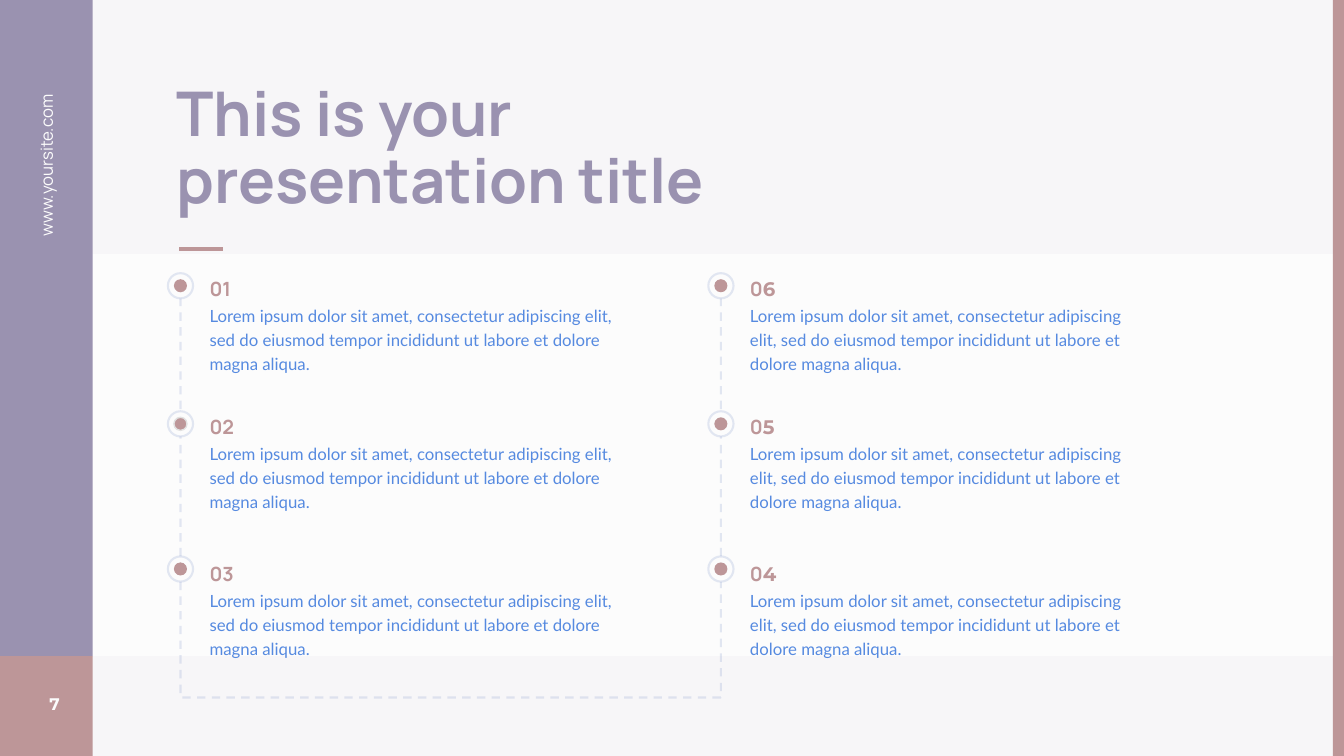
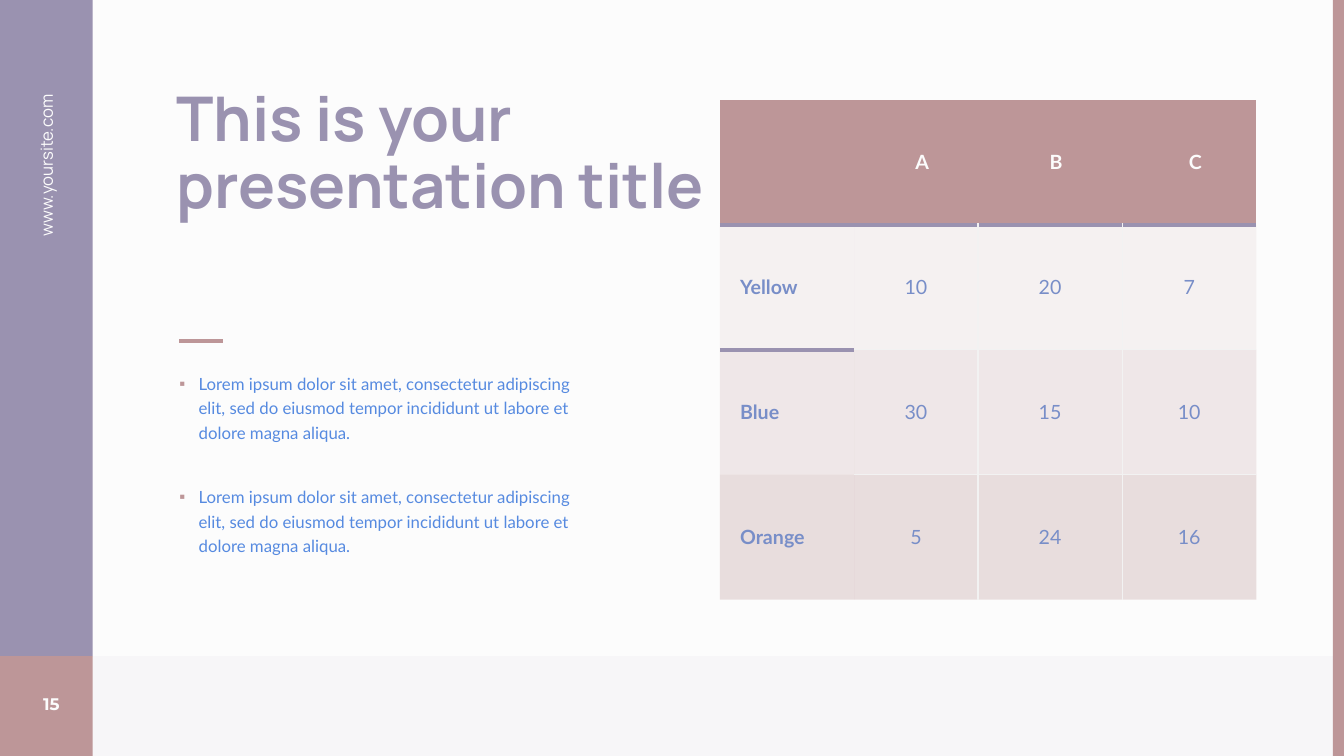
from dataclasses import dataclass
from typing import Any, Optional

import pptx
import pptx.dml.color
import pptx.enum.dml
import pptx.enum.shapes
import pptx.enum.text
import pptx.oxml
import pptx.oxml.ns
import pptx.util

Inches = pptx.util.Inches
Pt = pptx.util.Pt
qn = pptx.oxml.ns.qn
Align = pptx.enum.text.PP_ALIGN
Anchor = pptx.enum.text.MSO_ANCHOR
AutoSize = pptx.enum.text.MSO_AUTO_SIZE
Preset = pptx.enum.shapes.MSO_SHAPE

COLORS = {
    "paper": "FCFCFC",
    "purple": "9A92B0",
    "rose": "BD9698",
    "text": "568AE0",
    "blue": "788EC8",
    "dot_edge": "E1E1E1",
    "grid": "F2F2F2",
}
TITLE = "This is your presentation title"
LOREM = ("Lorem ipsum dolor sit amet, consectetur adipiscing elit, sed do eiusmod "
         "tempor incididunt ut labore et dolore magna aliqua.")


@dataclass(frozen=True)
class Box:
    left: float
    top: float
    width: float
    height: float

    def lengths(self) -> tuple:
        return tuple(Inches(value) for value in (self.left, self.top, self.width, self.height))


@dataclass(frozen=True)
class Span:
    text: str
    size: float
    font: str
    color: str
    bold: bool = False


@dataclass(frozen=True)
class Stroke:
    color: str
    width: float
    alpha: Optional[int] = None
    dashed: bool = False


@dataclass(frozen=True)
class Row:
    ring_top: float
    label_top: float


@dataclass(frozen=True)
class Timeline:
    axis: float
    body_width: float
    labels: tuple
    digit_font: str


RAIL = Stroke("blue", 1.5, alpha=20, dashed=True)
RING = Stroke("blue", 1.5, alpha=20)
ACCENT = Stroke("rose", 3)
HEADER_RULE = Stroke("purple", 3)
GRID = Stroke("grid", 1)
BODY = Span(LOREM, 12, "Lato", "text")

ROWS = (Row(2.71, 2.65), Row(4.08, 4.02), Row(5.52, 5.48))
TIMELINES = (
    Timeline(1.79, 4.22, ("01", "02", "03"), "Manrope"),
    Timeline(7.15, 4.17, ("06", "05", "04"), "Montserrat"),
)
RING_SIZE = 0.25
DOT_SIZE = 0.13

COLUMN_WIDTHS = (1.33, 1.23, 1.43, 1.33)
TABLE = (
    ("", "A", "B", "C"),
    ("Yellow", "10", "20", "7"),
    ("Blue", "30", "15", "10"),
    ("Orange", "5", "24", "16"),
)


# Colours, lines and text
def rgb(name: str) -> pptx.dml.color.RGBColor:
    return pptx.dml.color.RGBColor.from_string(COLORS[name])


def set_alpha(element: Any, percent: Optional[int]) -> None:
    if percent is not None:
        for color in element.iter(qn("a:srgbClr")):
            pptx.oxml.ns  # namespace map used by qn
            color.makeelement(qn("a:alpha"), {})
            alpha = pptx.oxml.parse_xml(
                f'<a:alpha {pptx.oxml.ns.nsdecls("a")} val="{percent * 1000}"/>')
            color.append(alpha)


def apply_stroke(shape: Any, stroke: Stroke) -> None:
    shape.line.color.rgb = rgb(stroke.color)
    shape.line.width = Pt(stroke.width)
    if stroke.dashed:
        shape.line.dash_style = pptx.enum.dml.MSO_LINE.DASH
    set_alpha(shape._element.spPr.find(qn("a:ln")), stroke.alpha)


def add_shape(page: Any, box: Box, fill: str, preset: Any = Preset.RECTANGLE,
              alpha: Optional[int] = None, stroke: Optional[Stroke] = None) -> None:
    shape = page.shapes.add_shape(preset, *box.lengths())
    shape.shadow.inherit = False
    shape.fill.solid()
    shape.fill.fore_color.rgb = rgb(fill)
    set_alpha(shape._element.spPr.find(qn("a:solidFill")), alpha)
    if stroke:
        apply_stroke(shape, stroke)
    else:
        shape.line.fill.background()


def add_line(page: Any, start: tuple, end: tuple, stroke: Stroke) -> None:
    points = (Inches(value) for value in (*start, *end))
    line = page.shapes.add_connector(pptx.enum.shapes.MSO_CONNECTOR.STRAIGHT, *points)
    apply_stroke(line, stroke)
    line._element.spPr.append(
        pptx.oxml.parse_xml(f'<a:effectLst {pptx.oxml.ns.nsdecls("a")}/>'))


def write(para: Any, spans: list, align: Any = Align.LEFT, spacing: float = 1.0) -> None:
    para.alignment = align
    para.line_spacing = spacing
    for span in spans:
        run = para.add_run()
        run.text = span.text
        run.font.size = Pt(span.size)
        run.font.name = span.font
        run.font.bold = span.bold
        run.font.color.rgb = rgb(span.color)


def add_text(page: Any, box: Box, spans: list, align: Any = Align.LEFT,
             spacing: float = 1.0, anchor: Any = Anchor.TOP, rotation: float = 0) -> None:
    shape = page.shapes.add_textbox(*box.lengths())
    shape.rotation = rotation
    frame = shape.text_frame
    frame.word_wrap = True
    frame.vertical_anchor = anchor
    write(frame.paragraphs[0], spans, align, spacing)


def place(placeholder: Any, box: Box) -> Any:
    placeholder.left, placeholder.top, placeholder.width, placeholder.height = box.lengths()
    frame = placeholder.text_frame
    frame.word_wrap = True
    frame.auto_size = AutoSize.NONE
    frame.vertical_anchor = Anchor.TOP
    return frame


# Shared page frame
def add_page(deck: Any, layout: int, number: str, title_box: Box, rule_top: float,
             header_band: bool = False) -> Any:
    page = deck.slides.add_slide(deck.slide_layouts[layout])
    page.background.fill.solid()
    page.background.fill.fore_color.rgb = rgb("paper")
    placeholders = list(page.placeholders)

    add_shape(page, Box(0, 6.51, 13.33, 0.99), "purple", alpha=5)
    add_shape(page, Box(0, 0, 0.92, 6.51), "purple")
    add_shape(page, Box(0, 6.51, 0.92, 0.99), "rose")
    add_text(page, Box(0.24, 6.78, 0.45, 0.4), [Span(number, 12, "Montserrat", "paper", True)],
             Align.RIGHT, anchor=Anchor.MIDDLE)
    add_text(page, Box(-0.92, 2.07, 2.76, 0.3),
             [Span("www.yoursite.com", 12, "Manrope", "paper")], Align.RIGHT, rotation=270)
    if header_band:
        add_shape(page, Box(0.92, 0, 12.41, 2.52), "purple", alpha=5)
    add_shape(page, Box(13.22, 0, 0.11, 7.5), "rose")

    # Placeholders go in front of the bands
    for placeholder in placeholders:
        page.shapes._spTree.append(placeholder._element)
    frame = place(page.shapes.title, title_box)
    write(frame.paragraphs[0], [Span(TITLE, 44, "Manrope", "purple", True)], spacing=0.9)
    add_line(page, (1.78, rule_top), (2.21, rule_top), ACCENT)
    return page


# Timeline slide
def add_rails(page: Any) -> None:
    left, right = (timeline.axis for timeline in TIMELINES)
    first, last = ROWS[0].ring_top, ROWS[-1].ring_top
    bottom = last + RING_SIZE
    builder = page.shapes.build_freeform(Inches(left), Inches(bottom))
    corners = ((left, 6.92), (right, 6.92), (right, bottom))
    builder.add_line_segments([(Inches(x), Inches(y)) for x, y in corners], close=False)
    turn = builder.convert_to_shape()
    turn.shadow.inherit = False
    turn.fill.background()
    apply_stroke(turn, RAIL)
    for axis in (right, left):
        add_line(page, (axis, last), (axis, first + RING_SIZE), RAIL)


def add_step(page: Any, timeline: Timeline, row: Row, label: str) -> None:
    text_left = timeline.axis + 0.19
    add_text(page, Box(text_left, row.label_top + 0.29, timeline.body_width, 0.81),
             [BODY], spacing=1.2)
    digits = zip(label, ("Manrope", timeline.digit_font))
    add_text(page, Box(text_left, row.label_top, 0.47, 0.37),
             [Span(digit, 14, font, "rose", True) for digit, font in digits], spacing=1.2)
    middle = row.ring_top + RING_SIZE / 2
    dot_stroke = Stroke("dot_edge", 1) if label == "02" else None
    for size, fill, stroke in ((RING_SIZE, "paper", RING), (DOT_SIZE, "rose", dot_stroke)):
        add_shape(page, Box(timeline.axis - size / 2, middle - size / 2, size, size),
                  fill, Preset.OVAL, stroke=stroke)


def build_timeline(deck: Any) -> None:
    page = add_page(deck, 5, "7", Box(1.65, 0.78, 7.27, 1.58), 2.47, header_band=True)
    add_rails(page)
    for timeline in TIMELINES:
        for row, label in zip(ROWS, timeline.labels):
            add_step(page, timeline, row, label)


# Table slide
def add_border(cell: Any, side: str, position: int, stroke: Stroke) -> None:
    cell._tc.get_or_add_tcPr().insert(position, pptx.oxml.parse_xml(
        f'<a:ln{side} {pptx.oxml.ns.nsdecls("a")} w="{Pt(stroke.width)}"><a:solidFill>'
        f'<a:srgbClr val="{COLORS[stroke.color]}"/></a:solidFill></a:ln{side}>'))


def cell_borders(row: int, column: int) -> dict:
    if row == 0:
        return {"B": HEADER_RULE}
    inner = column > 0
    rules = {
        "L": GRID if column > 1 else None,
        "R": GRID if inner and column < len(COLUMN_WIDTHS) - 1 else None,
        "T": HEADER_RULE if row == 1 else GRID if inner else None,
        "B": GRID if inner and row < len(TABLE) - 1 else None,
    }
    return {side: stroke for side, stroke in rules.items() if stroke}


def format_cell(cell: Any, row: int, column: int, text: str) -> None:
    cell.fill.solid()
    cell.fill.fore_color.rgb = rgb("rose")
    set_alpha(cell._tc.tcPr.find(qn("a:solidFill")), row * 10 if row else None)
    for position, (side, stroke) in enumerate(cell_borders(row, column).items()):
        add_border(cell, side, position, stroke)
    row_name = row > 0 and column == 0
    wide, narrow_x, narrow_y = Inches(0.2), Inches(0.08), Inches(0.06)
    cell.margin_left = wide if row == 0 or row_name else narrow_x
    cell.margin_right = wide if row_name else narrow_x
    cell.margin_top = cell.margin_bottom = wide if row_name else narrow_y
    cell.vertical_anchor = Anchor.MIDDLE
    if text:
        span = Span(text, 14, "Lato", "blue" if row else "paper", row == 0 or row_name)
        write(cell.text_frame.paragraphs[0], [span], Align.LEFT if row_name else Align.CENTER)


def add_color_table(page: Any) -> None:
    box = Box(7.14, 0.99, sum(COLUMN_WIDTHS), 4.96)
    table = page.shapes.add_table(len(TABLE), len(COLUMN_WIDTHS), *box.lengths()).table
    table.horz_banding = False
    style = table._tbl.tblPr.find(qn("a:tableStyleId"))
    style.text = "{2D5ABB26-0587-4C30-8999-92F81FD0307C}"
    for column, width in zip(table.columns, COLUMN_WIDTHS):
        column.width = Inches(width)
    for row, values in enumerate(TABLE):
        for column, text in enumerate(values):
            format_cell(table.cell(row, column), row, column, text)


def add_bullet(para: Any) -> None:
    properties = para._p.get_or_add_pPr()
    properties.set("marL", str(Inches(0.19)))
    properties.set("indent", str(-Inches(0.19)))
    names = pptx.oxml.ns.nsdecls("a")
    for xml in (f'<a:buClr {names}><a:srgbClr val="{COLORS["rose"]}"/></a:buClr>',
                f'<a:buChar {names} char="▪"/>'):
        properties.append(pptx.oxml.parse_xml(xml))


def build_table(deck: Any) -> None:
    page = add_page(deck, 1, "15", Box(1.65, 0.83, 5.52, 2.32), 3.38)
    add_color_table(page)
    frame = place(page.placeholders[1], Box(1.78, 3.67, 4.02, 1.85))
    frame.margin_left = frame.margin_right = frame.margin_top = frame.margin_bottom = 0
    for para, gap in ((frame.paragraphs[0], 0), (frame.add_paragraph(), 29)):
        add_bullet(para)
        para.space_before = Pt(gap)
        write(para, [BODY], spacing=1.2)


def main() -> None:
    deck = pptx.Presentation()
    deck.slide_width, deck.slide_height = Inches(13.33), Inches(7.5)
    build_timeline(deck)
    build_table(deck)
    deck.save("out.pptx")


if __name__ == "__main__":
    main()
